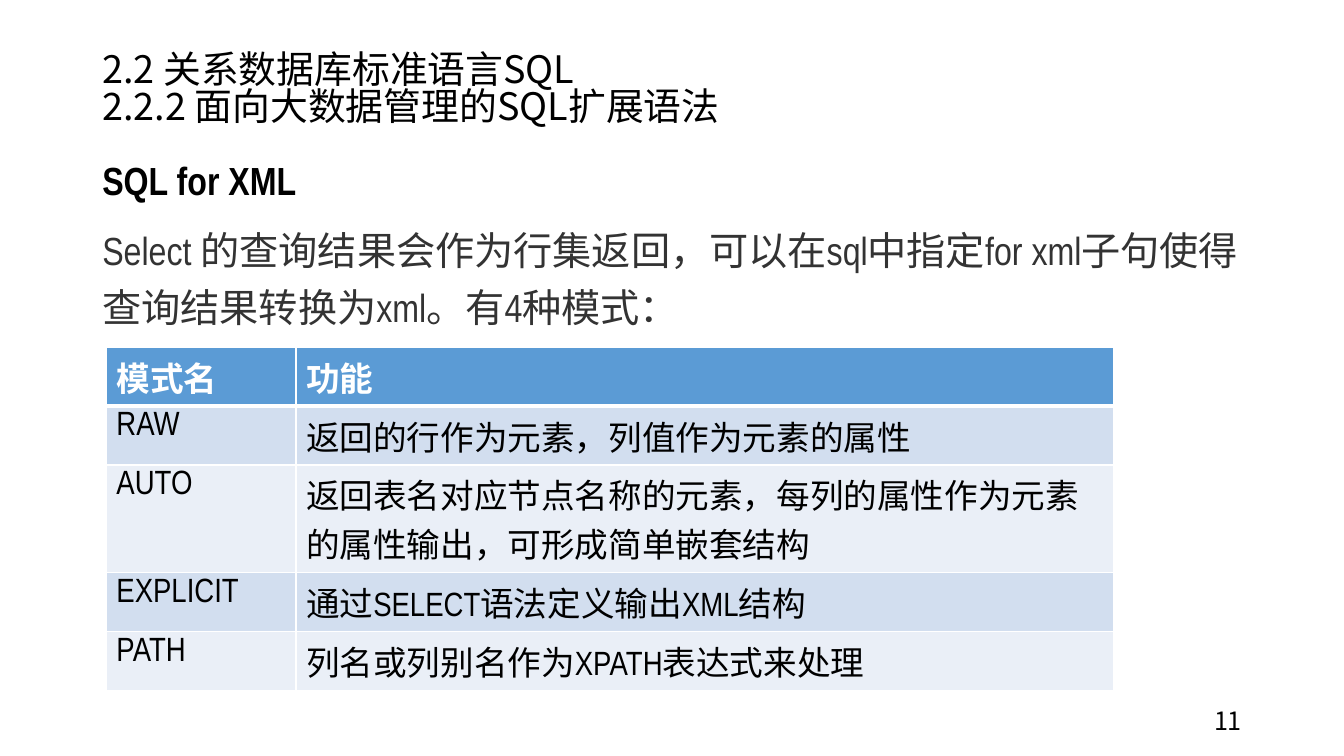
"""Slide on SQL for XML: heading, introduction and a table of the four modes."""
import pptx
import pptx.dml.color
import pptx.enum.text
import pptx.oxml
import pptx.oxml.ns
import pptx.util
from lxml import etree

Cm, Pt = pptx.util.Cm, pptx.util.Pt
RGBColor = pptx.dml.color.RGBColor
Anchor = pptx.enum.text.MSO_ANCHOR
AutoSize = pptx.enum.text.MSO_AUTO_SIZE

BLACK = RGBColor(0x00, 0x00, 0x00)
GREY = RGBColor(0x33, 0x33, 0x33)
WHITE = RGBColor(0xFF, 0xFF, 0xFF)
HEADER_BLUE = RGBColor(0x5B, 0x9B, 0xD5)
BAND_BLUES = RGBColor(0xEA, 0xEF, 0xF7), RGBColor(0xD2, 0xDE, 0xEF)
CJK, NARROW = "Noto Sans CJK SC", "Arial Narrow"


def add_run(paragraph, text, size, font, color, bold=False):
    run = paragraph.add_run()
    run.text = text
    run.font.size = Pt(size)
    run.font.name = font
    run.font.bold = bold
    run.font.color.rgb = color
    east_asian = etree.SubElement(run.font._element, pptx.oxml.ns.qn("a:ea"))
    east_asian.set("typeface", CJK)


def add_frame(left, top, width, height, anchor, auto_size):
    frame = slide.shapes.add_textbox(Cm(left), Cm(top), Cm(width), Cm(height)).text_frame
    frame.word_wrap = True
    frame.vertical_anchor = anchor
    frame.auto_size = auto_size
    return frame


deck = pptx.Presentation()
deck.slide_width, deck.slide_height = Cm(33.87), Cm(19.05)
slide = deck.slides.add_slide(deck.slide_layouts[6])

title = add_frame(2.33, 1.01, 29.21, 2.57, Anchor.MIDDLE, AutoSize.TEXT_TO_FIT_SHAPE)
heading = title.paragraphs[0]
heading.line_spacing = 0.9
add_run(heading, "2.2 关系数据库标准语言SQL", 28.8, CJK, BLACK)
heading.add_line_break()
add_run(heading, "2.2.2 面向大数据管理的SQL扩展语法", 28.8, CJK, BLACK)

body = add_frame(2.33, 3.58, 29.21, 5.16, Anchor.TOP, AutoSize.TEXT_TO_FIT_SHAPE)
topic, introduction = body.paragraphs[0], body.add_paragraph()
for paragraph in (topic, introduction):
    paragraph.line_spacing = 1.2
    paragraph.space_before = Pt(10)
add_run(topic, "SQL for XML", 28, NARROW, BLACK, bold=True)
add_run(introduction,
        "Select 的查询结果会作为行集返回，可以在sql中指定for xml子句使得查询结果转换为xml。有4种模式：",
        28, NARROW, GREY)

page = add_frame(23.93, 17.65, 7.62, 1.01, Anchor.MIDDLE, AutoSize.NONE)
page.paragraphs[0].alignment = pptx.enum.text.PP_ALIGN.RIGHT
add_run(page.paragraphs[0], "11", 18, CJK, BLACK)

MODES = [
    ("模式名", "功能"),
    ("RAW", "返回的行作为元素，列值作为元素的属性"),
    ("AUTO", "返回表名对应节点名称的元素，每列的属性作为元素的属性输出，可形成简单嵌套结构"),
    ("EXPLICIT", "通过SELECT语法定义输出XML结构"),
    ("PATH", "列名或列别名作为XPATH表达式来处理"),
]
ROW_HEIGHTS = [1.47, 1.47, 2.72, 1.47, 1.47]
modes = slide.shapes.add_table(len(MODES), 2, Cm(2.68), Cm(8.75),
                               Cm(25.38), Cm(sum(ROW_HEIGHTS))).table
modes.columns[0].width, modes.columns[1].width = Cm(4.78), Cm(20.6)

for row, texts in enumerate(MODES):
    modes.rows[row].height = Cm(ROW_HEIGHTS[row])
    header = row == 0
    for column, text in enumerate(texts):
        cell = modes.cell(row, column)
        add_run(cell.text_frame.paragraphs[0], text, 24, NARROW,
                WHITE if header else BLACK, bold=header)
        borders = cell._tc.get_or_add_tcPr()
        for side in "LRTB":
            thick = (header and side == "B") or (row == 1 and side == "T")
            borders.append(pptx.oxml.parse_xml(
                f'<a:ln{side} {pptx.oxml.ns.nsdecls("a")} w="{Pt(3 if thick else 1)}">'
                f'<a:solidFill><a:srgbClr val="{WHITE}"/></a:solidFill></a:ln{side}>'))
        cell.fill.solid()
        cell.fill.fore_color.rgb = HEADER_BLUE if header else BAND_BLUES[row % 2]

deck.save("out.pptx")
